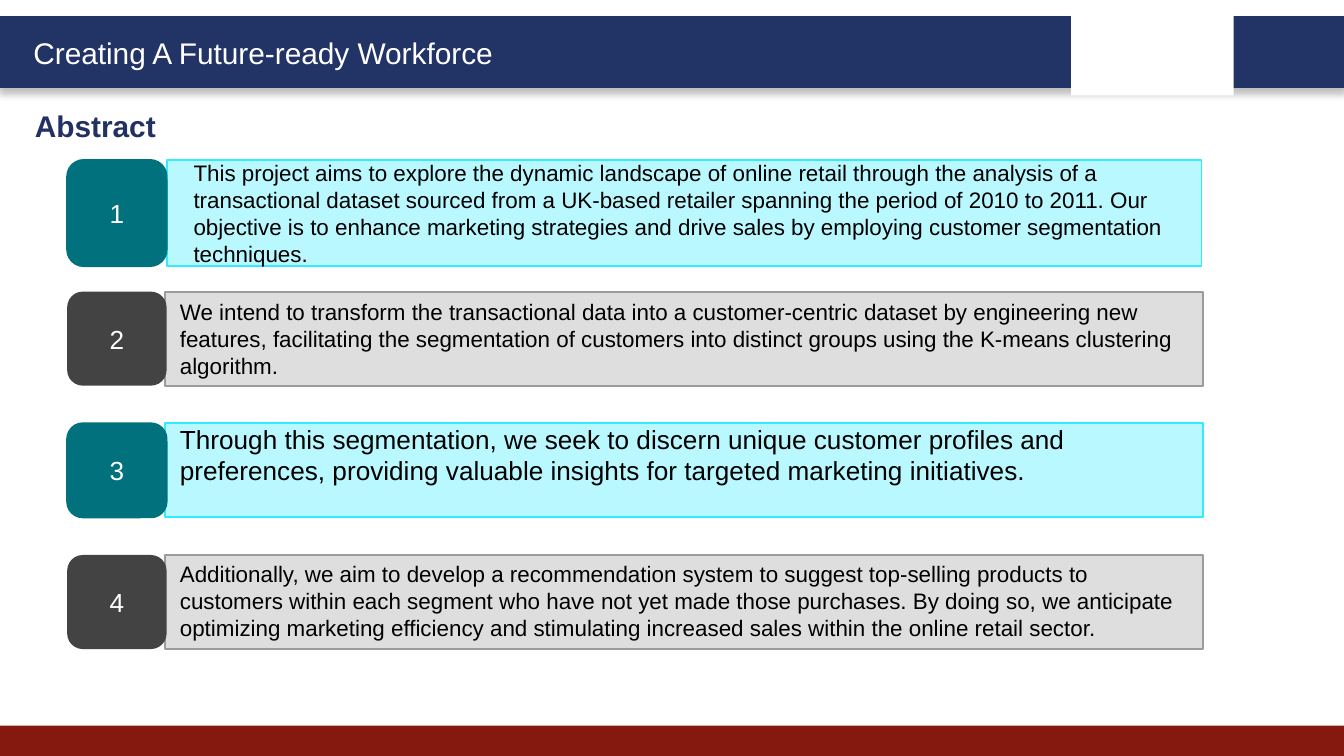
from dataclasses import dataclass

from lxml import etree
from pptx import Presentation
from pptx.dml.color import RGBColor
from pptx.enum.shapes import MSO_SHAPE
from pptx.enum.text import MSO_ANCHOR, PP_ALIGN
from pptx.oxml.ns import qn
from pptx.util import Inches, Pt

RECT, ROUND = MSO_SHAPE.RECTANGLE, MSO_SHAPE.ROUNDED_RECTANGLE
TOP, MIDDLE = MSO_ANCHOR.TOP, MSO_ANCHOR.MIDDLE
LEFT, CENTER = PP_ALIGN.LEFT, PP_ALIGN.CENTER


@dataclass(frozen=True)
class Theme:
    font: str = "Arial"
    white: str = "FFFFFF"
    black: str = "000000"
    navy: str = "223366"
    heading: str = "213163"
    red: str = "851910"
    teal: str = "00717D"
    aqua: str = "BAF8FF"
    aqua_line: str = "31EBFF"
    dark: str = "434343"
    grey: str = "DEDEDE"
    grey_line: str = "9B9B9B"
    title_size: int = 16
    large: int = 14
    body: int = 12


T = Theme()


def add_box(kind, x, y, w, h, fill, line=None, line_width=1):
    sp = s.shapes.add_shape(kind, Inches(x), Inches(y), Inches(w), Inches(h))
    sp.shadow.inherit = False
    sp.fill.solid()
    sp.fill.fore_color.rgb = RGBColor.from_string(fill)
    if line:
        sp.line.color.rgb = RGBColor.from_string(line)
        sp.line.width = Pt(line_width)
    else:
        sp.line.fill.background()
    return sp


def write(sp, text, size, color, bold=False, align=LEFT, anchor=TOP):
    tf = sp.text_frame
    tf.word_wrap = True
    tf.vertical_anchor = anchor
    tf.margin_left = tf.margin_right = Inches(0.1)
    tf.margin_top = tf.margin_bottom = Inches(0.05)
    p = tf.paragraphs[0]
    p.text = text
    p.alignment = align
    p.font.name = T.font
    p.font.size = Pt(size)
    p.font.bold = bold
    p.font.color.rgb = RGBColor.from_string(color)
    return tf


prs = Presentation()
prs.slide_width = Inches(10)
prs.slide_height = Inches(10 * 9 / 16)
s = prs.slides.add_slide(prs.slide_layouts[5])

# Header band with its shadow, footer band and the white logo panel
header = add_box(RECT, 0, 0.13, 10, 0.51, T.navy, T.navy, 2)
effects = header._element.spPr.find(qn("a:effectLst"))
shadow = etree.SubElement(effects, qn("a:outerShdw"), blurRad=str(Pt(4)),
                          dist=str(Pt(3)), dir=str(90 * 60000), rotWithShape="0")
tint = etree.SubElement(shadow, qn("a:srgbClr"), val=T.black)
etree.SubElement(tint, qn("a:alpha"), val="25000")
add_box(RECT, 0, 5.4, 10, 0.23, T.red)
add_box(RECT, 7.97, 0.07, 1.21, 0.64, T.white)

banner = s.shapes.add_textbox(Inches(0.15), Inches(0.21), Inches(3.78), Inches(0.37))
write(banner, "Creating A Future-ready Workforce", T.title_size, T.white)

title = s.shapes.title
title.left, title.top = Inches(0.16), Inches(0.75)
title.width, title.height = Inches(4.84), Inches(0.37)
write(title, "Abstract", T.title_size, T.heading, bold=True)

# Numbered bars: left, top, width, height
bars = [(1.24, 1.19, 7.7, 0.79)] + [(1.23, 2.17 + 0.98 * i, 7.72, 0.7) for i in range(3)]
styles = [(T.aqua, T.aqua_line, T.teal, T.teal),
          (T.grey, T.grey_line, T.dark, None)]

for i, (x, y, w, h) in enumerate(bars):
    bar_fill, bar_line, badge_fill, badge_line = styles[i % 2]
    bar = add_box(RECT, x, y, w, h, bar_fill, bar_line)
    if i == 0:
        tf = write(bar, "This project aims to explore the dynamic landscape of online "
                   "retail through the analysis of a transactional dataset sourced from "
                   "a UK-based retailer spanning the period of 2010 to 2011. Our objective "
                   "is to enhance marketing strategies and drive sales by employing "
                   "customer segmentation techniques.", T.body, T.black, anchor=MIDDLE)
        tf.margin_left = Inches(0.2)
    badge = add_box(ROUND, 0.5, y, 0.74, h, badge_fill, badge_line)
    write(badge, str(i + 1), T.large, T.white, align=CENTER, anchor=MIDDLE)

# Text laid over the lower three bars: top, height, type size, text
overlays = [
    (2.17, 0.71, T.body,
     "We intend to transform the transactional data into a customer-centric dataset "
     "by engineering new features, facilitating the segmentation of customers into "
     "distinct groups using the K-means clustering algorithm."),
    (3.1, 0.57, T.large,
     "Through this segmentation, we seek to discern unique customer profiles and "
     "preferences, providing valuable insights for targeted marketing initiatives."),
    (4.12, 0.71, T.body,
     "Additionally, we aim to develop a recommendation system to suggest top-selling "
     "products to customers within each segment who have not yet made those purchases. "
     "By doing so, we anticipate optimizing marketing efficiency and stimulating "
     "increased sales within the online retail sector."),
]
for y, h, size, text in overlays:
    box = s.shapes.add_textbox(Inches(1.24), Inches(y), Inches(7.7), Inches(h))
    write(box, text, size, T.black)

prs.save("out.pptx")
